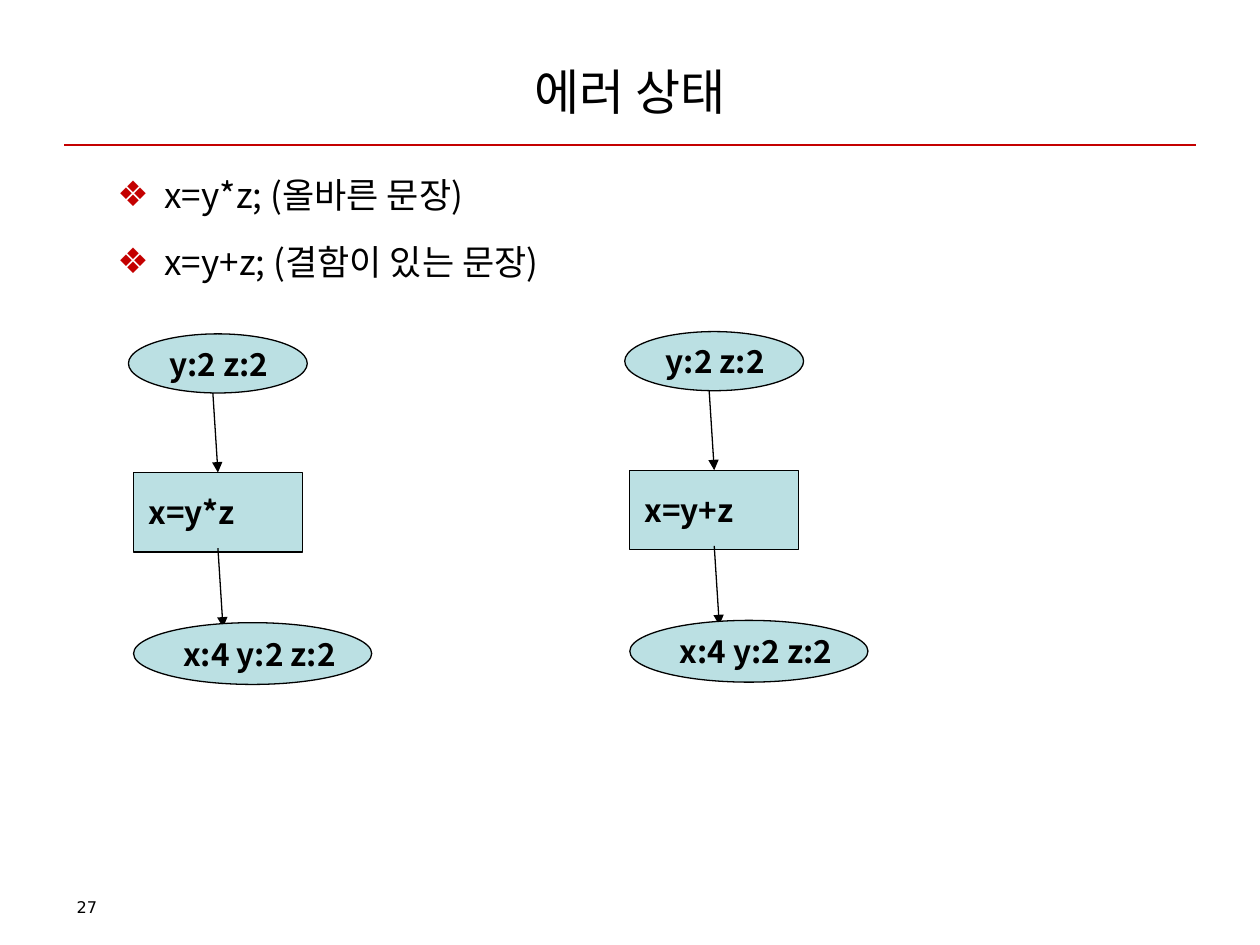
import dataclasses

import lxml.etree
import pptx
import pptx.dml.color
import pptx.enum.shapes
import pptx.enum.text
import pptx.oxml.ns
import pptx.util

Pt = pptx.util.Pt
qn = pptx.oxml.ns.qn
SHAPE = pptx.enum.shapes.MSO_SHAPE
ANCHOR = pptx.enum.text.MSO_ANCHOR
ALIGN = pptx.enum.text.PP_ALIGN


def rgb(value):
    return pptx.dml.color.RGBColor.from_string(value)


def add_xml(parent, tag, **attributes):
    return lxml.etree.SubElement(parent, qn(tag), attributes)


def set_all(target, values):
    for name, value in values.items():
        setattr(target, name, value)


@dataclasses.dataclass
class Theme:
    ink: str = "000000"
    accent: str = "C40000"
    node_fill: str = "BBE0E3"
    font: str = "Noto Sans CJK KR"
    number_font: str = "DejaVu Sans"
    title_size: float = 28
    body_size: float = 20
    node_size: float = 18
    number_size: float = 9.2
    line_width: float = 0.75


class SlideBuilder:
    def __init__(self, slide, theme):
        self.slide = slide
        self.theme = theme

    def place(self, shape, box):
        set_all(shape, dict(zip(("left", "top", "width", "height"), map(Pt, box))))

    def add_text(self, paragraph, text, size, font=None, bold=False):
        run = paragraph.add_run()
        run.text = text
        name = font or self.theme.font
        set_all(run.font, {"name": name, "size": Pt(size), "bold": bold})
        run.font.color.rgb = rgb(self.theme.ink)
        add_xml(run.font._element, "a:ea", typeface=name)

    def title(self, text, box):
        title = self.slide.shapes.title
        self.place(title, box)
        set_all(title.text_frame, {
            "vertical_anchor": ANCHOR.MIDDLE,
            "auto_size": pptx.enum.text.MSO_AUTO_SIZE.NONE,
        })
        paragraph = title.text_frame.paragraphs[0]
        paragraph.alignment = ALIGN.CENTER
        self.add_text(paragraph, text, self.theme.title_size)

    def bullets(self, items, box):
        body = self.slide.placeholders[1]
        self.place(body, box)
        frame = body.text_frame
        frame.auto_size = pptx.enum.text.MSO_AUTO_SIZE.NONE
        for index, item in enumerate(items):
            paragraph = frame.add_paragraph() if index else frame.paragraphs[0]
            properties = paragraph._p.get_or_add_pPr()
            properties.set("marL", str(Pt(27)))
            properties.set("indent", str(-Pt(27)))
            color = add_xml(properties, "a:buClr")
            add_xml(color, "a:srgbClr", val=self.theme.accent)
            add_xml(properties, "a:buFont", typeface=self.theme.number_font)
            add_xml(properties, "a:buChar", char="❖")
            set_all(paragraph, {"line_spacing": 1.4, "space_before": Pt(5 if index else 0)})
            self.add_text(paragraph, item, self.theme.body_size)

    def page_number(self, text, box):
        frame = self.slide.shapes.add_textbox(*map(Pt, box)).text_frame
        frame.word_wrap = True
        frame.paragraphs[0].line_spacing = 0.9
        self.add_text(frame.paragraphs[0], text, self.theme.number_size, self.theme.number_font)

    def node(self, kind, text, box):
        node = self.slide.shapes.add_shape(kind, *map(Pt, box))
        node.shadow.inherit = False
        node.fill.solid()
        node.fill.fore_color.rgb = rgb(self.theme.node_fill)
        node.line.color.rgb = rgb(self.theme.ink)
        node.line.width = Pt(self.theme.line_width)
        set_all(node.text_frame, {
            "word_wrap": False, "vertical_anchor": ANCHOR.MIDDLE,
            "margin_left": Pt(8.5), "margin_right": Pt(8.5),
            "margin_top": Pt(4.25), "margin_bottom": Pt(4.25),
        })
        paragraph = node.text_frame.paragraphs[0]
        paragraph.alignment = ALIGN.LEFT
        self.add_text(paragraph, text, self.theme.node_size, bold=True)
        return node

    def line(self, start, end, color, arrow=False):
        line = self.slide.shapes.add_connector(
            pptx.enum.shapes.MSO_CONNECTOR.STRAIGHT, *map(Pt, (*start, *end)))
        line.line.color.rgb = rgb(color)
        line.line.width = Pt(self.theme.line_width)
        if arrow:
            add_xml(line.line._get_or_add_ln(), "a:tailEnd", type="triangle")
        add_xml(line._element.spPr, "a:effectLst")
        return line

    def state_flow(self, statement, left, top):
        """Draw input state, statement and resulting state, from top to bottom."""
        ink = self.theme.ink
        step = self.node(SHAPE.RECTANGLE, statement, (left + 2.9, top + 79.2, 96.5, 45.4))
        middle = left + 51.15
        into_step = self.line((middle - 2.9, top + 33.8), (middle, top + 79.2), ink, arrow=True)
        into_step.end_connect(step, 0)
        self.line((middle, top + 122.4), (middle + 2.9, top + 167.8), ink, arrow=True)
        self.node(SHAPE.OVAL, "y:2 z:2", (left, top, 102.2, 33.8))
        self.node(SHAPE.OVAL, "x:4 y:2 z:2", (left + 2.9, top + 165, 136.1, 35.3))


def main():
    presentation = pptx.Presentation()
    set_all(presentation, {"slide_width": Pt(720), "slide_height": Pt(540)})
    slide = presentation.slides.add_slide(presentation.slide_layouts[1])
    theme = Theme()
    builder = SlideBuilder(slide, theme)

    builder.line((36.75, 82.8), (683.25, 82.8), theme.accent)
    builder.title("에러 상태", (36, 21.6, 648, 61.2))
    builder.bullets(["x=y*z; (올바른 문장)", "x=y+z; (결함이 있는 문장)"], (59.8, 85.7, 648, 102.2))
    builder.page_number("27", (36.7, 510.5, 167.8, 20.2))
    for statement, left, top in (("x=y*z", 73.4, 190.8), ("x=y+z", 357, 189.5)):
        builder.state_flow(statement, left, top)

    presentation.save("out.pptx")


if __name__ == "__main__":
    main()
